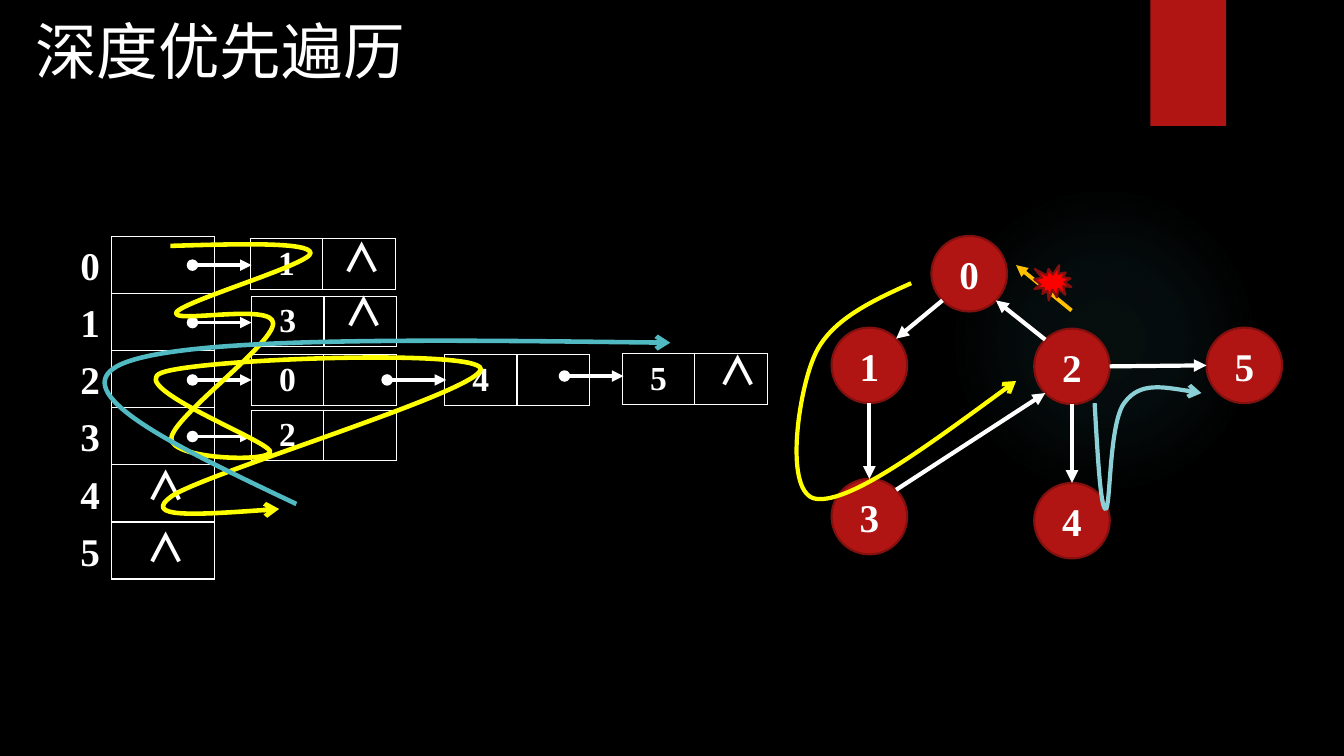
import math

import lxml.etree
import pptx
import pptx.dml.color
import pptx.enum.shapes
import pptx.enum.text
import pptx.oxml
import pptx.oxml.ns
import pptx.util

Pt = pptx.util.Pt
qn = pptx.oxml.ns.qn
SHAPE = pptx.enum.shapes.MSO_SHAPE
CENTER = pptx.enum.text.PP_ALIGN.CENTER
MIDDLE = pptx.enum.text.MSO_ANCHOR.MIDDLE

COLOURS = {
    "black": "000000", "white": "FFFFFF", "red": "B01513", "dark red": "82100E",
    "bright red": "FF0000", "yellow": "FFFF00", "orange": "FFC000",
    "teal": "50B9C1", "light teal": "8AD0D6",
}
SERIF, CJK = "Times New Roman", "Noto Sans CJK SC"

NODE_SIZE = 54
NODES = [(665.3, 168.5), (594, 234), (738.7, 234.7),
         (594, 342), (738.7, 344.9), (861.8, 234)]
# Start node, angle of departure, end node, angle of arrival (clockwise degrees)
EDGES = [(0, 135, 1, 315), (2, 225, 0, 45), (1, 90, 3, 270),
         (3, 315, 2, 135), (2, 0, 5, 180), (2, 90, 4, 270)]

# Left, top and vertex of each list cell
LIST_CELLS = [(178.7, 170.6, "1"), (179.7, 211.7, "3"), (179.4, 253.4, "0"),
              (317.5, 253.4, "4"), (179.4, 293, "2"), (444.5, 252.7, "5")]
POINTERS = [(137.5, 189.4), (137.5, 230.4), (137.5, 271.4), (137.5, 311.8),
            (403.2, 268.6), (276.5, 271.4)]
NULL_MARKS = [(237.6, 163.4), (239, 201.6), (506.2, 244.1), (97.9, 370.1), (97.9, 326.2)]

# Colour, width, frame (left, top, width, height), start, Bezier segments
TRAVERSALS = [
    ("yellow", 3, (568.8, 202.3, 156.2, 154.1), (650.9, 202.3), [
        (622.1, 215.3, 592.6, 229, 581.8, 254.2),
        (570.2, 280.1, 559.4, 353.5, 583.2, 356.4),
        (607.7, 359.3, 666.7, 315.4, 725.8, 272.2)]),
    ("yellow", 3.25, (110.9, 174.2, 231.8, 192.2), (121.7, 175.7), [
        (171.4, 174.2, 221, 172.8, 221.8, 180.7),
        (222.5, 188.6, 130.3, 215.3, 126, 223.2),
        (121.7, 231.8, 195.8, 216, 195.1, 231.1),
        (195.1, 246.2, 123.1, 298.1, 122.4, 313.2),
        (121.7, 328.3, 193.7, 330.5, 193, 322.6),
        (191.5, 314.6, 90, 276.5, 115.2, 266.4),
        (140.4, 256.3, 342, 249.1, 343.4, 263.5),
        (344.9, 278.6, 147.6, 337.7, 123.1, 354.2),
        (99.4, 370.8, 149, 367.2, 199.4, 363.6)]),
    ("teal", 3.25, (74.9, 243.4, 403.9, 116.6), (211.7, 360), [
        (126.7, 319.7, 42.5, 279.4, 87.1, 259.9),
        (131.8, 240.5, 305.3, 242.6, 478.8, 244.8)]),
    ("light teal", 3, (781.9, 277.2, 76.3, 86.4), (781.9, 288), [
        (784.1, 326.2, 786.2, 363.6, 789.8, 363.6),
        (793.4, 363.6, 792, 301, 803.5, 287.3),
        (814.3, 272.9, 836.6, 277.2, 858.2, 280.8)]),
]


def rgb(name):
    return pptx.dml.color.RGBColor.from_string(COLOURS[name])


def add_element(parent, tag, **attributes):
    values = {key: str(value) for key, value in attributes.items()}
    return lxml.etree.SubElement(parent, qn(tag), values)


def write(frame, text, size, font=SERIF, bold=True):
    frame.text = text
    para = frame.paragraphs[0]
    span = para.runs[0]
    span.font.size, span.font.bold, span.font.name = Pt(size), bold, font
    span.font.color.rgb = rgb("white")
    add_element(span.font._element, "a:ea", typeface=CJK)
    return para


def add_text(page, left, top, width, height, text, size, wrap=True, **style):
    box = page.shapes.add_textbox(Pt(left), Pt(top), Pt(width), Pt(height))
    box.text_frame.word_wrap = wrap
    return write(box.text_frame, text, size, **style)


def add_figure(shapes, kind, left, top, width, height, fill, line=None):
    figure = shapes.add_shape(kind, Pt(left), Pt(top), Pt(width), Pt(height))
    figure.shadow.inherit = False
    figure.fill.solid()
    figure.fill.fore_color.rgb = rgb(fill)
    if line:
        figure.line.color.rgb = rgb(line)
        figure.line.width = Pt(1.5)
    else:
        figure.line.fill.background()
    return figure


def style_line(line, colour, width, tail, head="none"):
    line.color.rgb = rgb(colour)
    line.width = Pt(width)
    outline = line._get_or_add_ln()
    add_element(outline, "a:headEnd", type=head)
    add_element(outline, "a:tailEnd", type=tail)


def add_arrow(shapes, start, end, colour="white", width=2.75, head="none"):
    arrow = shapes.add_connector(pptx.enum.shapes.MSO_CONNECTOR.STRAIGHT,
                                 *(Pt(value) for value in (*start, *end)))
    style_line(arrow.line, colour, width, "triangle", head)
    add_element(arrow._element.spPr, "a:effectLst")


def add_curve(page, colour, line_width, frame, start, segments):
    left, top, width, height = frame
    builder = page.shapes.build_freeform(Pt(left), Pt(top))
    builder.add_line_segments([(Pt(left + width), Pt(top + height))], close=False)
    curve = builder.convert_to_shape()
    outline = curve._element.xpath(".//a:path")[0]
    outline.set("fill", "none")
    for step in list(outline):
        outline.remove(step)
    for tag, values in [("a:moveTo", start)] + [("a:cubicBezTo", part) for part in segments]:
        step = add_element(outline, tag)
        for x, y in zip(values[::2], values[1::2]):
            add_element(step, "a:pt", x=Pt(x - left), y=Pt(y - top))
    curve.shadow.inherit = False
    curve.fill.background()
    style_line(curve.line, colour, line_width, "arrow")


def add_grid(page, left, top, columns, rows, width, height, first=""):
    grid = page.shapes.add_table(rows, columns, Pt(left), Pt(top),
                                 Pt(columns * width), Pt(rows * height)).table
    grid.first_row = grid.horz_banding = False
    for cell in grid.iter_cells():
        cell.vertical_anchor = MIDDLE
        properties = cell._tc.get_or_add_tcPr()
        for side in ("a:lnL", "a:lnR", "a:lnT", "a:lnB"):
            paint = add_element(add_element(properties, side, w=Pt(1)), "a:solidFill")
            add_element(paint, "a:srgbClr", val=COLOURS["white"])
        cell.fill.background()
    if first:
        write(grid.cell(0, 0).text_frame, first, 24).alignment = CENTER


def add_glow(page):
    glow = add_figure(page.shapes, SHAPE.OVAL, 677.5, 131.8, 221.8, 221.8, "teal")
    glow.fill.gradient()
    gradient = glow._element.spPr.find(qn("a:gradFill"))
    for child in list(gradient):
        gradient.remove(child)
    stops = add_element(gradient, "a:gsLst")
    for position, opacity in ((0, 7), (36, 6), (69, 0)):
        stop = add_element(stops, "a:gs", pos=position * 1000)
        colour = add_element(stop, "a:srgbClr", val=COLOURS["teal"])
        add_element(colour, "a:alpha", val=opacity * 1000)
    focus = add_element(gradient, "a:path", path="circle")
    add_element(focus, "a:fillToRect", l=50000, t=50000, r=50000, b=50000)


def node_edge(node, angle):
    radius, turn = NODE_SIZE / 2, math.radians(angle)
    left, top = NODES[node]
    return left + radius * (1 + math.cos(turn)), top + radius * (1 + math.sin(turn))


def main():
    deck = pptx.Presentation()
    deck.slide_width, deck.slide_height = Pt(960), Pt(540)
    page = deck.slides.add_slide(deck.slide_layouts[6])
    page.background.fill.solid()
    page.background.fill.fore_color.rgb = rgb("black")

    # Backdrop and title
    add_glow(page)
    add_figure(page.shapes, SHAPE.RECTANGLE, 821.8, 0, 54, 90, "red")
    title = add_text(page, 18, 11.5, 741, 110, "深度优先遍历", 44, bold=False)
    title.line_spacing = 0.9

    # Adjacency list
    add_grid(page, 79.6, 168.9, 1, 6, 73.6, 40.8)
    for vertex in range(6):
        add_text(page, 50.4, 168.5 + 40.9 * vertex, 71.3, 41, str(vertex), 28)
    for left, top, vertex in LIST_CELLS:
        add_grid(page, left, top, 2, 1, 51.8, 36, vertex)
    for x, y in POINTERS:
        add_arrow(page.shapes, (x, y), (x + 42.2, y), head="oval")
    for left, top in NULL_MARKS:
        add_text(page, left, top, 31.7, 41, "∧", 28, wrap=False, font=CJK)

    # Directed graph
    for vertex, (left, top) in enumerate(NODES):
        node = add_figure(page.shapes, SHAPE.OVAL, left, top, NODE_SIZE, NODE_SIZE,
                          "red", "dark red")
        node.text_frame.vertical_anchor = MIDDLE
        write(node.text_frame, str(vertex), 28).alignment = CENTER
    for start, leaving, end, arriving in EDGES:
        add_arrow(page.shapes, node_edge(start, leaving), node_edge(end, arriving), width=3)

    # Blocked step back to vertex 0
    blocked = page.shapes.add_group_shape().shapes
    add_arrow(blocked, (765.4, 221.8), (725.8, 189.4), "orange")
    add_figure(blocked, SHAPE.EXPLOSION1, 738.7, 189.4, 26.6, 25.2, "bright red", "dark red")

    # Traversal routes
    for route in TRAVERSALS:
        add_curve(page, *route)

    deck.save("out.pptx")


if __name__ == "__main__":
    main()
